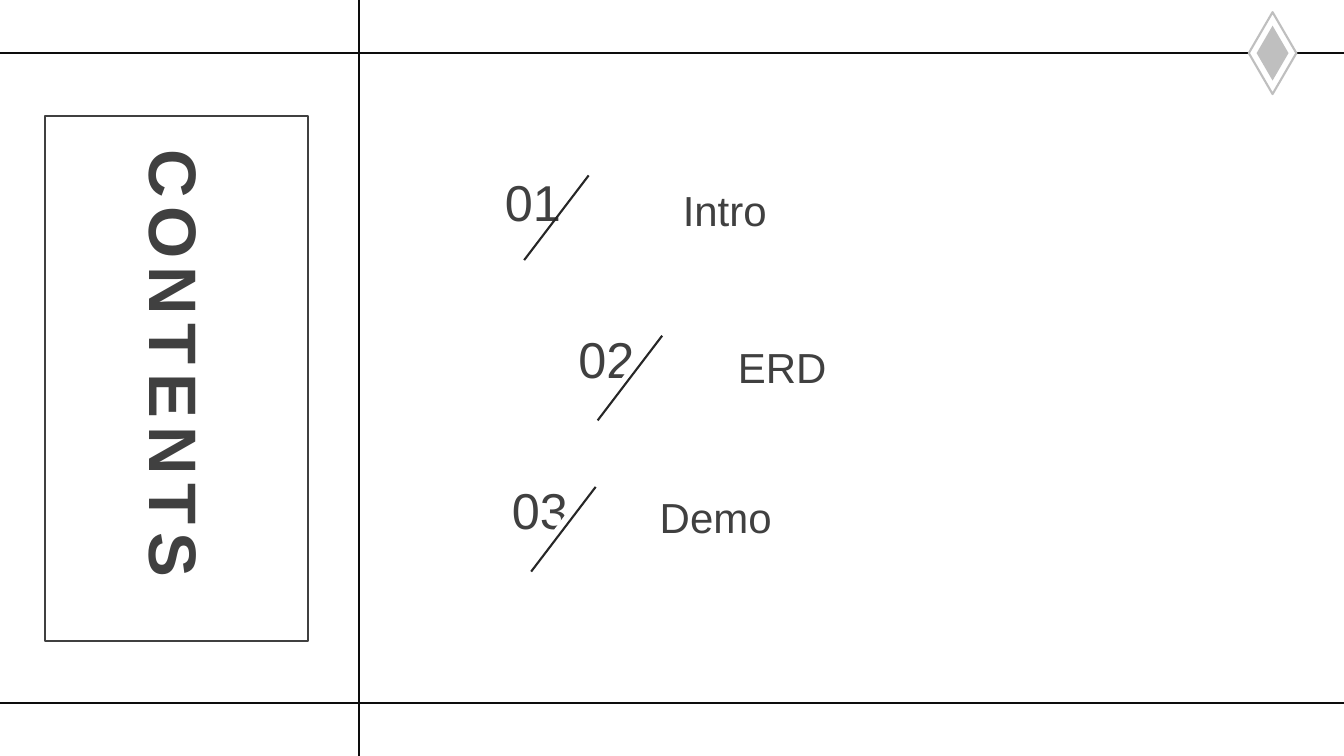
from pptx import Presentation
from pptx.dml.color import RGBColor
from pptx.enum.shapes import MSO_CONNECTOR, MSO_SHAPE
from pptx.enum.text import MSO_ANCHOR, MSO_AUTO_SIZE, PP_ALIGN
from pptx.oxml.ns import qn
from pptx.util import Pt
from lxml import etree

STRAIGHT = MSO_CONNECTOR.STRAIGHT
RECTANGLE = MSO_SHAPE.RECTANGLE
DIAMOND = MSO_SHAPE.DIAMOND
TRIANGLE = MSO_SHAPE.RIGHT_TRIANGLE
TOP = MSO_ANCHOR.TOP
NO_FIT = MSO_AUTO_SIZE.NONE
LEFT, CENTER = PP_ALIGN.LEFT, PP_ALIGN.CENTER

WIDTH, HEIGHT = 960, 540
FONT = "Arial"
TEXT, GRID, SLASH, SILVER, WHITE = "404040", "0D0D0D", "262626", "BFBFBF", "FFFFFF"
ENTRIES = [
    ("01", "Intro", 353.5, 118.8, 379.5, 125.3, False),
    ("02", "ERD", 406, 231.1, 420.5, 239.8, True),
    ("03", "Demo", 358.5, 338.4, 373, 347.8, True),
]


def color(value):
    """Turn a hex string into a colour."""
    return RGBColor.from_string(value)


def add_line(slide, start, end, line_color, weight):
    """Draw a straight line without a shadow between two points."""
    connector = slide.shapes.add_connector(STRAIGHT, *map(Pt, start + end))
    connector.line.color.rgb = color(line_color)
    connector.line.width = Pt(weight)
    etree.SubElement(connector.element.spPr, qn("a:effectLst"))


def add_figure(shapes, kind, box, fill=None, line=None, weight=1.25):
    """Add a preset shape with an optional fill and outline."""
    shape = shapes.add_shape(kind, *map(Pt, box))
    shape.shadow.inherit = False
    if fill:
        shape.fill.solid()
        shape.fill.fore_color.rgb = color(fill)
    else:
        shape.fill.background()
    if line:
        shape.line.color.rgb = color(line)
        shape.line.width = Pt(weight)
    else:
        shape.line.fill.background()
    return shape


def write(shape, text, size, alignment, bold=False):
    """Write one paragraph into a shape and format it."""
    frame = shape.text_frame
    frame.word_wrap = True
    frame.auto_size = NO_FIT
    frame.vertical_anchor = TOP
    paragraph = frame.paragraphs[0]
    paragraph.text = text
    paragraph.alignment = alignment
    paragraph.font.name = FONT
    paragraph.font.size = Pt(size)
    paragraph.font.bold = bold
    paragraph.font.color.rgb = color(TEXT)
    return paragraph


def add_text(slide, box, text, size, alignment):
    """Add a text box with one paragraph."""
    write(slide.shapes.add_textbox(*map(Pt, box)), text, size, alignment)


def add_grid(slide):
    """Draw the lines that divide the slide."""
    for y in (502, 38):
        add_line(slide, (0, y), (WIDTH, y), GRID, 1.25)
    add_line(slide, (256.3, 0), (256.3, HEIGHT), GRID, 1.25)


def add_heading(slide, left, top, width, height):
    """Place the vertical title and its frame."""
    title = slide.shapes.title
    title.left, title.top = Pt(left + 57.6), Pt(top + 20.2)
    title.width, title.height = Pt(72.7), Pt(334)
    paragraph = write(title, "CONTENTS", 48, CENTER, bold=True)
    title.text_frame._txBody.bodyPr.set("vert", "eaVert")
    paragraph.runs[0].font._element.set("spc", "600")
    add_figure(slide.shapes, RECTANGLE, (left, top, width, height), line=TEXT)


def add_entry(slide, number, label, left, top, label_left, slash_top, masked):
    """Place one numbered entry with its slash."""
    add_text(slide, (left, top, 61.2, 51), number, 36, LEFT)
    add_text(slide, (label_left, top + 9.2, 276.5, 43.2), label, 30, CENTER)
    if masked:
        box = (left + 14.4, top - 2.2, 54, 73.4)
        mask = add_figure(slide.shapes, TRIANGLE, box, fill=WHITE)
        mask.element.spPr.xfrm.set("flipH", "1")
    start = (left + 20.9, slash_top + 60.5)
    add_line(slide, start, (left + 67, slash_top), SLASH, 1.5)


def add_emblem(slide, left, top, width, height):
    """Place the grouped double diamond."""
    shapes = slide.shapes.add_group_shape().shapes
    add_figure(shapes, DIAMOND, (left, top, width, height), WHITE, SILVER, 1.5)
    inner_width, inner_height = width * 0.67, height * 0.67
    inner = (left + (width - inner_width) / 2, top + (height - inner_height) / 2,
             inner_width, inner_height)
    add_figure(shapes, DIAMOND, inner, fill=SILVER)


def main():
    """Build and save the contents slide."""
    presentation = Presentation()
    presentation.slide_width, presentation.slide_height = Pt(WIDTH), Pt(HEIGHT)
    slide = presentation.slides.add_slide(presentation.slide_layouts[5])
    slide.background.fill.solid()
    slide.background.fill.fore_color.rgb = color(WHITE)
    add_grid(slide)
    add_heading(slide, 31.9, 82.8, 187.9, 375)
    for entry in ENTRIES:
        add_entry(slide, *entry)
    add_emblem(slide, 892, 8.7, 34, 58.5)
    presentation.save("out.pptx")


if __name__ == "__main__":
    main()
